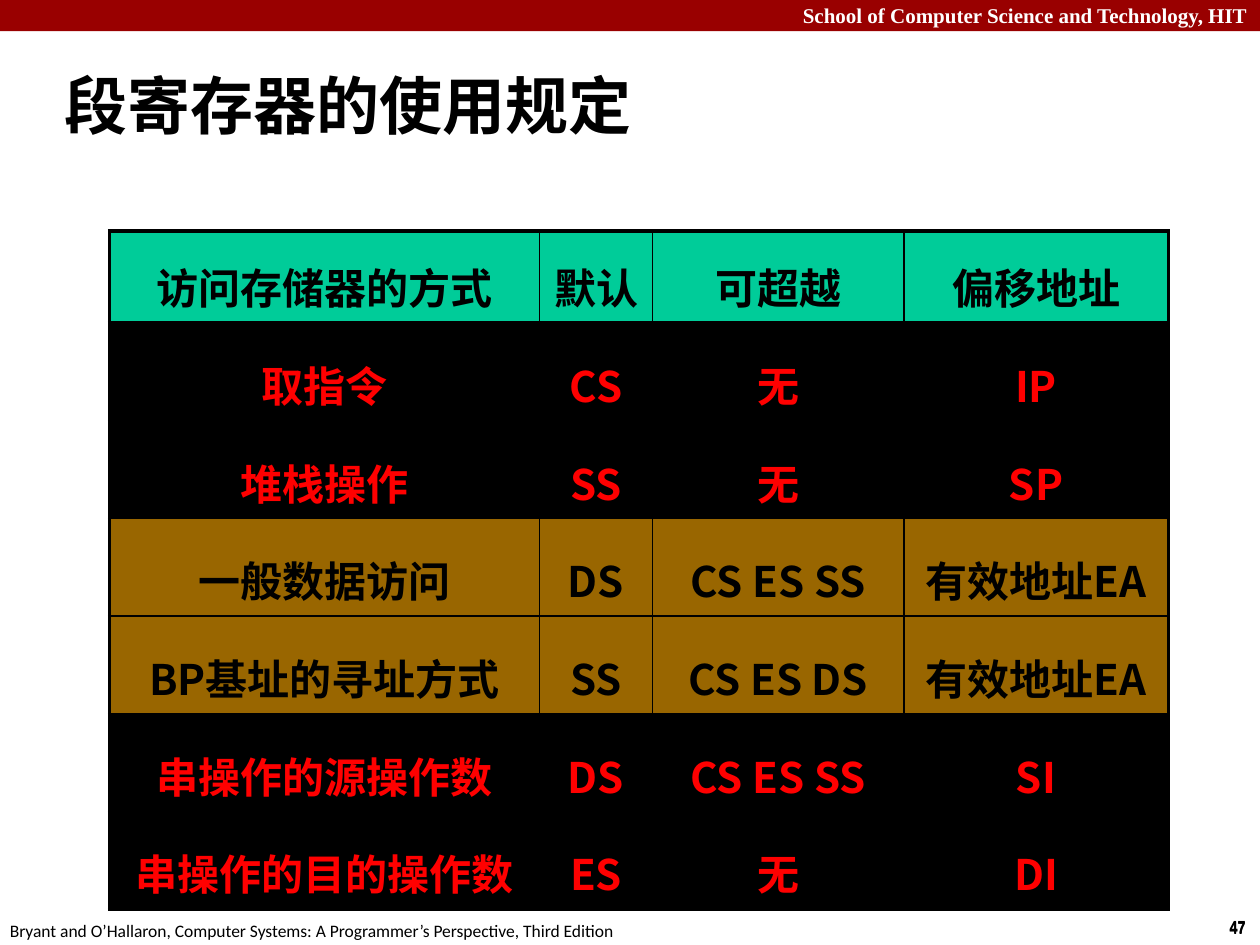
from lxml.etree import SubElement
from pptx import Presentation
from pptx.dml.color import RGBColor
from pptx.enum.shapes import MSO_SHAPE
from pptx.enum.text import MSO_ANCHOR as ANCHOR, MSO_AUTO_SIZE as AUTO, PP_ALIGN as ALIGN
from pptx.oxml.ns import qn
from pptx.util import Cm, Pt

BLACK = RGBColor(0x00, 0x00, 0x00)
WHITE = RGBColor(0xFF, 0xFF, 0xFF)
RED = RGBColor(0xFF, 0x00, 0x00)
DARK_RED = RGBColor(0x99, 0x00, 0x00)
GREEN = RGBColor(0x00, 0xCC, 0x99)
BROWN = RGBColor(0x99, 0x66, 0x00)
CJK = "Noto Sans CJK SC"


def add_run(p, text, size, font, color, bold=True):
    """Add a run with a Latin font and the slide's East Asian font."""
    r = p.add_run()
    r.text = text
    r.font.size = Pt(size)
    r.font.bold = bold
    r.font.color.rgb = color
    r.font.name = font
    SubElement(r.font._element, qn("a:ea"), typeface=CJK)


def add_border(cell, side, width):
    ln = SubElement(cell._tc.get_or_add_tcPr(), qn("a:ln" + side), w=str(Pt(width)))
    fill = SubElement(ln, qn("a:solidFill"))
    SubElement(fill, qn("a:srgbClr"), val=str(BLACK))


prs = Presentation()
prs.slide_width, prs.slide_height = Cm(25.4), Cm(19.05)
s = prs.slides.add_slide(prs.slide_layouts[6])

banner = s.shapes.add_shape(MSO_SHAPE.RECTANGLE, 0, 0, prs.slide_width, Cm(0.63))
banner.shadow.inherit = False
banner.fill.solid()
banner.fill.fore_color.rgb = DARK_RED
banner.line.fill.background()

school = s.shapes.add_textbox(0, Cm(-0.08), prs.slide_width, Cm(0.76))
school.text_frame.word_wrap = True
school.text_frame.auto_size = AUTO.SHAPE_TO_FIT_TEXT
p = school.text_frame.paragraphs[0]
p.alignment = ALIGN.RIGHT
add_run(p, "School of Computer Science and Technology, HIT", 12, "Times New Roman", WHITE)

# Footer: left, top, width, text, font, bold
footers = [
    (24.54, 18.36, 0.86, "47", "Arial Narrow", True),
    (24.54, 18.34, 0.86, "47", "Arial Narrow", True),
    (-0.05, 18.42, 12.9,
     "Bryant and O’Hallaron, Computer Systems: A Programmer’s Perspective, Third Edition",
     "Calibri", False),
]
for left, top, width, text, font, bold in footers:
    sp = s.shapes.add_textbox(Cm(left), Cm(top), Cm(width), Cm(0.69))
    sp.text_frame.word_wrap = False
    sp.text_frame.auto_size = AUTO.SHAPE_TO_FIT_TEXT
    add_run(sp.text_frame.paragraphs[0], text, 10, font, BLACK, bold)

title = s.shapes.add_textbox(Cm(1.06), Cm(1.04), Cm(24.33), Cm(2.11))
title.text_frame.word_wrap = True
title.text_frame.vertical_anchor = ANCHOR.MIDDLE
add_run(title.text_frame.paragraphs[0], "段寄存器的使用规定", 36, "Calibri", BLACK)

# Each row: fill, text colour, cell texts
rows = [
    (GREEN, BLACK, ["访问存储器的方式", "默认", "可超越", "偏移地址"]),
    (BLACK, RED, ["取指令", "CS", "无", "IP"]),
    (BLACK, RED, ["堆栈操作", "SS", "无", "SP"]),
    (BROWN, BLACK, ["一般数据访问", "DS", "CS ES SS", "有效地址EA"]),
    (BROWN, BLACK, ["BP基址的寻址方式", "SS", "CS ES DS", "有效地址EA"]),
    (BLACK, RED, ["串操作的源操作数", "DS", "CS ES SS", "SI"]),
    (BLACK, RED, ["串操作的目的操作数", "ES", "无", "DI"]),
]
col_widths = [8.67, 2.27, 5.07, 5.33]
row_heights = [1.85] + [1.97] * 6
last_row, last_col = len(rows) - 1, len(col_widths) - 1
THICK, THIN = 2.25, 1

table = s.shapes.add_table(len(rows), len(col_widths), Cm(2.21), Cm(4.66),
                           Cm(sum(col_widths)), Cm(sum(row_heights))).table
for col, width in zip(table.columns, col_widths):
    col.width = Cm(width)

for i, (fill, color, texts) in enumerate(rows):
    table.rows[i].height = Cm(row_heights[i])
    for j, text in enumerate(texts):
        cell = table.cell(i, j)
        add_border(cell, "L", THICK if j == 0 else THIN)
        add_border(cell, "R", THICK if j == last_col else THIN)
        add_border(cell, "T", THICK if i <= 1 else THIN)
        add_border(cell, "B", THICK if i in (0, last_row) else THIN)
        cell.fill.solid()
        cell.fill.fore_color.rgb = fill
        cell.vertical_anchor = ANCHOR.MIDDLE
        p = cell.text_frame.paragraphs[0]
        p.alignment = ALIGN.CENTER
        p.line_spacing = 1.4 if i else 1.3
        before = SubElement(p._p.get_or_add_pPr(), qn("a:spcBef"))
        SubElement(before, qn("a:spcPct"), val="20000")
        add_run(p, text, 24, CJK, color)

prs.save("out.pptx")
